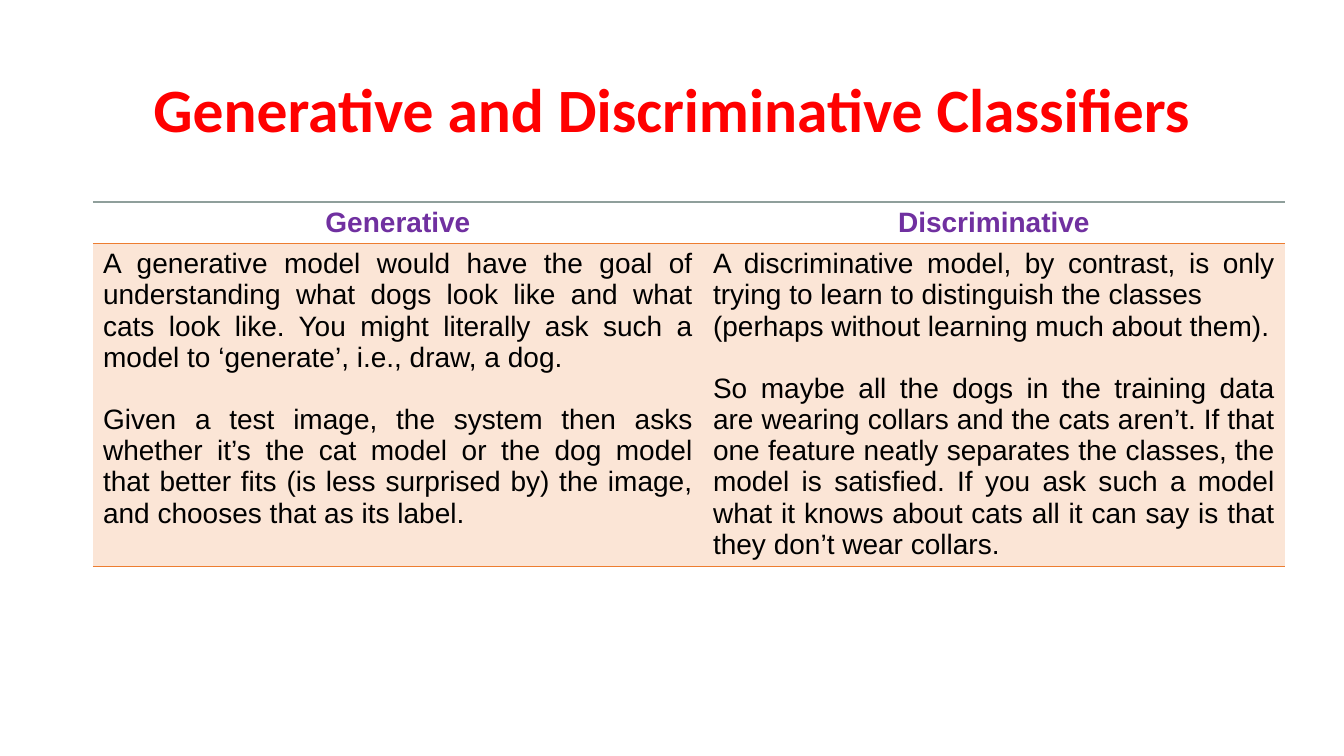
from lxml.etree import SubElement
from pptx import Presentation
from pptx.dml.color import RGBColor
from pptx.enum.text import MSO_ANCHOR as Anchor, PP_ALIGN as Align
from pptx.oxml.ns import qn
from pptx.util import Emu, Pt

PX = 914400 / 100.8
RED = RGBColor(0xFF, 0x00, 0x00)
PURPLE = RGBColor(0x70, 0x30, 0xA0)
BLACK = RGBColor(0x00, 0x00, 0x00)
PEACH = RGBColor(0xFB, 0xE5, 0xD6)
ORANGE = RGBColor(0xED, 0x7D, 0x31)
GRAY = RGBColor(0x8F, 0x9F, 0x9B)
PLAIN_TABLE = "{2D5ABB26-0587-4C30-8999-92F81FD0307C}"


def px(length):
    return Emu(round(length * PX))


def add_border(cell, side, color, width):
    line = SubElement(cell._tc.get_or_add_tcPr(), qn(f"a:{side}"), w=str(Pt(width)))
    fill = SubElement(line, qn("a:solidFill"))
    SubElement(fill, qn("a:srgbClr"), val=str(color))


deck = Presentation()
deck.slide_width, deck.slide_height = px(1344), px(756)
page = deck.slides.add_slide(deck.slide_layouts[5])

title = page.shapes.title
title.left, title.top, title.width, title.height = px(93), px(40), px(1159), px(146)
title.text_frame.text = "Generative and Discriminative Classifiers"
title.text_frame.vertical_anchor = Anchor.MIDDLE
heading = title.text_frame.paragraphs[0]
heading.alignment = Align.CENTER
heading.line_spacing = 0.9
for name, value in {"name": "Calibri", "size": Pt(44), "bold": True}.items():
    setattr(heading.font, name, value)
heading.font.color.rgb = RED

columns = [
    (610, "Generative", [
        ("A generative model would have the goal of understanding what dogs look like "
         "and what cats look like. You might literally ask such a model to ‘generate’, "
         "i.e., draw, a dog.", 0),
        ("Given a test image, the system then asks whether it’s the cat model or the dog "
         "model that better fits (is less surprised by) the image, and chooses that as "
         "its label.", 22),
    ]),
    (582, "Discriminative", [
        ("A discriminative model, by contrast, is only trying to learn to distinguish "
         "the classes", 0),
        ("(perhaps without learning much about them).", 0),
        ("So maybe all the dogs in the training data are wearing collars and the cats "
         "aren’t. If that one feature neatly separates the classes, the model is "
         "satisfied. If you ask such a model what it knows about cats all it can say is "
         "that they don’t wear collars.", 22),
    ]),
]

frame = page.shapes.add_table(2, 2, px(93), px(202), px(1192), px(364))
table = frame.table
table.horz_banding = False
table._tbl.tblPr.find(qn("a:tableStyleId")).text = PLAIN_TABLE
table.rows[0].height, table.rows[1].height = px(41), px(323)

for index, (width, header, body) in enumerate(columns):
    table.columns[index].width = px(width)
    top, bottom = table.cell(0, index), table.cell(1, index)
    add_border(top, "lnT", GRAY, 1)
    add_border(top, "lnB", ORANGE, 1)
    add_border(bottom, "lnT", ORANGE, 1)
    add_border(bottom, "lnB", ORANGE, 1)
    top.fill.background()
    bottom.fill.solid()
    bottom.fill.fore_color.rgb = PEACH
    for cell, texts, align, color, bold in [
        (top, [(header, 0)], Align.CENTER, PURPLE, True),
        (bottom, body, Align.JUSTIFY, BLACK, False),
    ]:
        cell.text = "\n".join(text for text, gap in texts)
        for para, (text, gap) in zip(cell.text_frame.paragraphs, texts):
            para.alignment = align
            if gap:
                para.space_before = Pt(gap)
            font = para.runs[0].font
            for name, value in {"name": "Arial", "size": Pt(20), "bold": bold}.items():
                setattr(font, name, value)
            font.color.rgb = color

deck.save("out.pptx")
